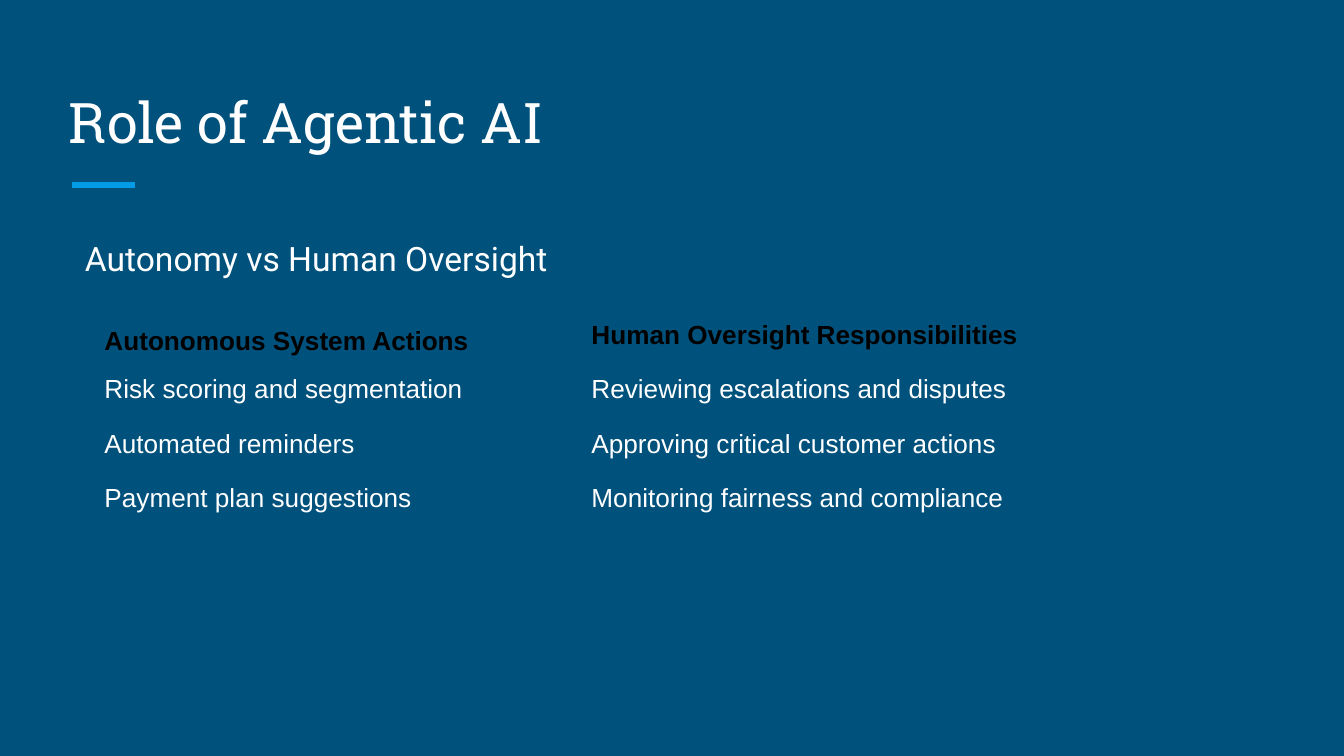
from pptx import Presentation
from pptx.dml.color import RGBColor
from pptx.enum.shapes import MSO_CONNECTOR as CONN
from pptx.enum.text import MSO_ANCHOR as ANCHOR
from pptx.oxml.ns import qn
from pptx.util import Pt
from lxml import etree

PX = 914400 / 134.4
COLORS = {"bg": "00517C", "accent": "039BE5", "text": "FFFFFF", "head": "000000"}
NO_STYLE = "{2D5ABB26-0587-4C30-8999-92F81FD0307C}"

FORMATS = {
    "title": {"name": "Roboto Slab", "size": Pt(30), "color": "text"},
    "subtitle": {"name": "Roboto", "size": Pt(18), "color": "text"},
    "head": {"name": "Arial", "size": Pt(14), "bold": True, "color": "head"},
    "cell": {"name": "Arial", "size": Pt(14), "bold": False, "color": "text"},
}
ROWS = [
    ("Autonomous System Actions", "Human Oversight Responsibilities"),
    ("Risk scoring and segmentation", "Reviewing escalations and disputes"),
    ("Automated reminders", "Approving critical customer actions"),
    ("Payment plan suggestions", "Monitoring fairness and compliance"),
]


def px(n):
    return round(n * PX)


def rgb(key):
    return RGBColor.from_string(COLORS[key])


def write(tf, text, fmt):
    p = tf.paragraphs[0]
    r = p.add_run()
    r.text = text
    for key, value in FORMATS[fmt].items():
        if key == "color":
            r.font.color.rgb = rgb(value)
        else:
            setattr(r.font, key, value)
    return p


def add_text(s, box, text, fmt, anchor):
    tf = s.shapes.add_textbox(*map(px, box)).text_frame
    tf.word_wrap = True
    tf.vertical_anchor = anchor
    for side in ("left", "top", "right", "bottom"):
        setattr(tf, f"margin_{side}", px(13))
    return write(tf, text, fmt)


def add_heading(s, box):
    x, y, w, h = box
    # Accent rule below the title
    rule = s.shapes.add_connector(
        CONN.STRAIGHT, px(x + 16), px(y + h + 17), px(x + 79), px(y + h + 17))
    rule.line.color.rgb = rgb("accent")
    rule.line.width = Pt(3)
    etree.SubElement(rule._element.spPr, qn("a:effectLst"))
    # Title
    add_text(s, box, "Role of Agentic AI", "title", ANCHOR.BOTTOM)


def add_subtitle(s, box):
    p = add_text(s, box, "Autonomy vs Human Oversight", "subtitle", ANCHOR.TOP)
    p.line_spacing = 1.15
    pPr = p._p.get_or_add_pPr()
    pPr.set("marL", str(px(67)))
    pPr.set("indent", str(px(-51)))


def add_comparison(s, box):
    table = s.shapes.add_table(len(ROWS), len(ROWS[0]), *map(px, box)).table
    table.first_row = table.horz_banding = False
    table._tbl.tblPr.find(qn("a:tableStyleId")).text = NO_STYLE
    for i, row in enumerate(ROWS):
        for j, text in enumerate(row):
            cell = table.cell(i, j)
            cell.fill.background()
            write(cell.text_frame, text, "cell" if i else "head")
    table.cell(0, 0).vertical_anchor = ANCHOR.MIDDLE


def main():
    prs = Presentation()
    prs.slide_width, prs.slide_height = px(1344), px(756)
    s = prs.slides.add_slide(prs.slide_layouts[6])
    s.background.fill.solid()
    s.background.fill.fore_color.rgb = rgb("bg")
    add_heading(s, (56, 67, 1230, 101))
    add_subtitle(s, (56, 219, 1230, 453))
    add_comparison(s, (91, 314, 974, 218))
    prs.save("out.pptx")


if __name__ == "__main__":
    main()
